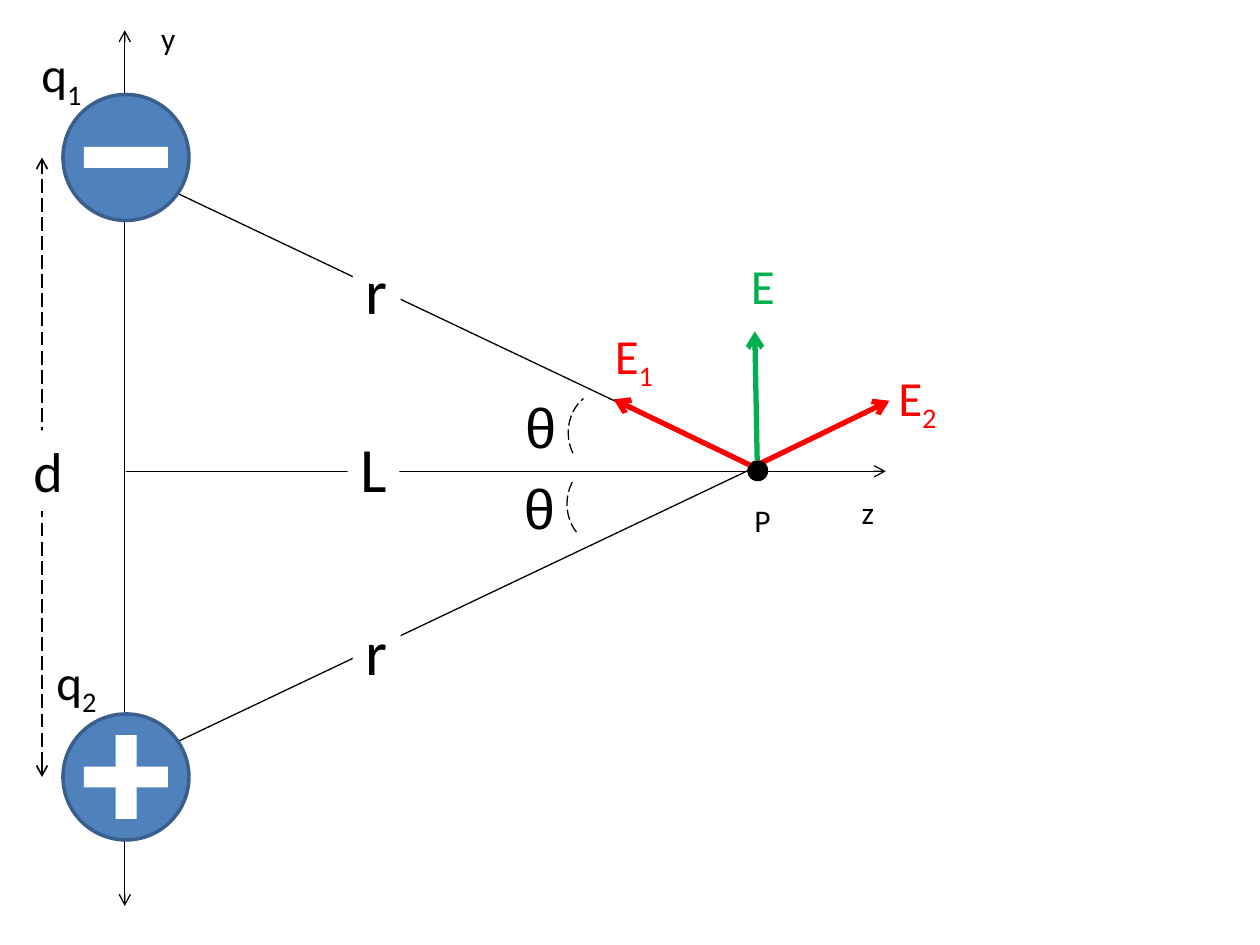
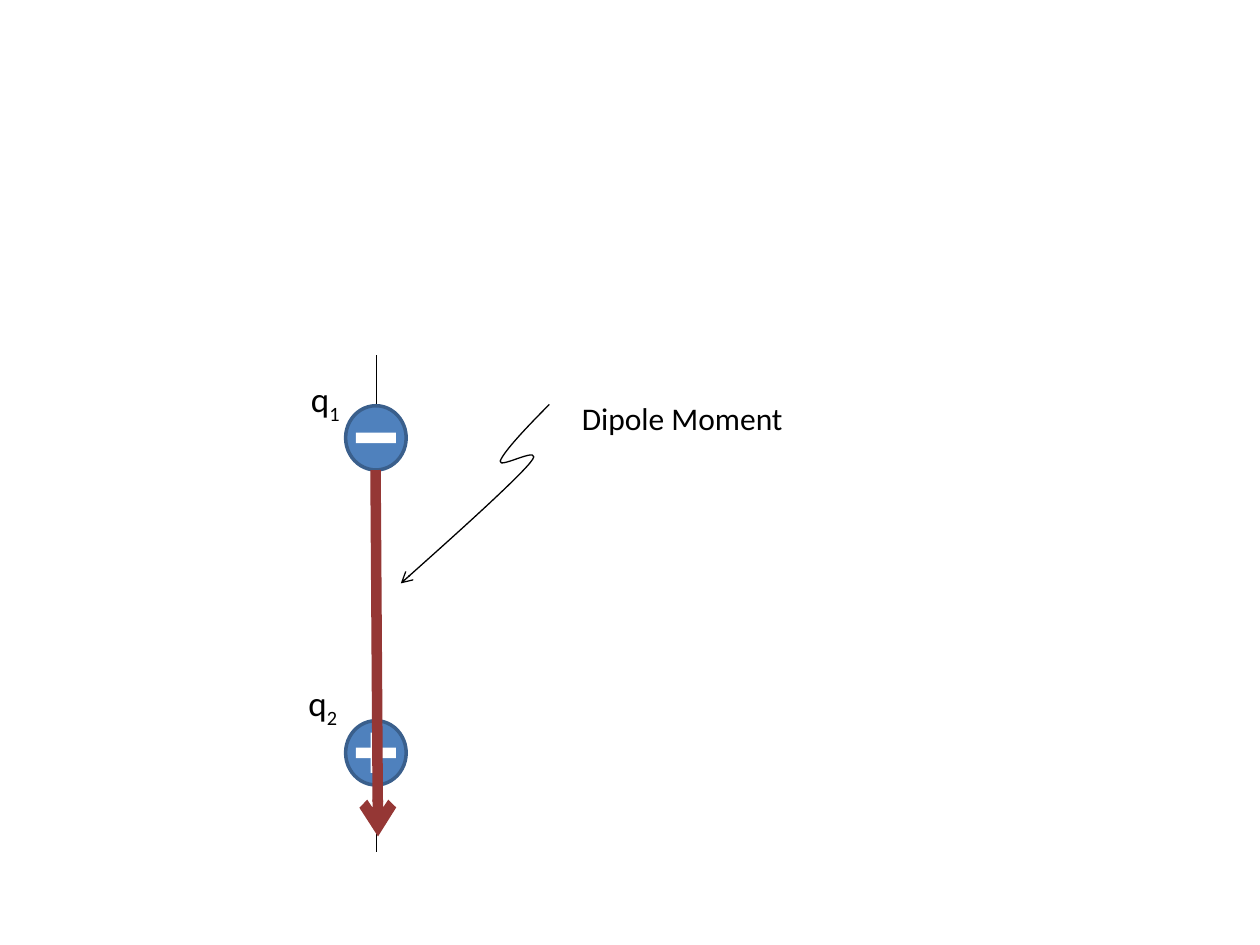
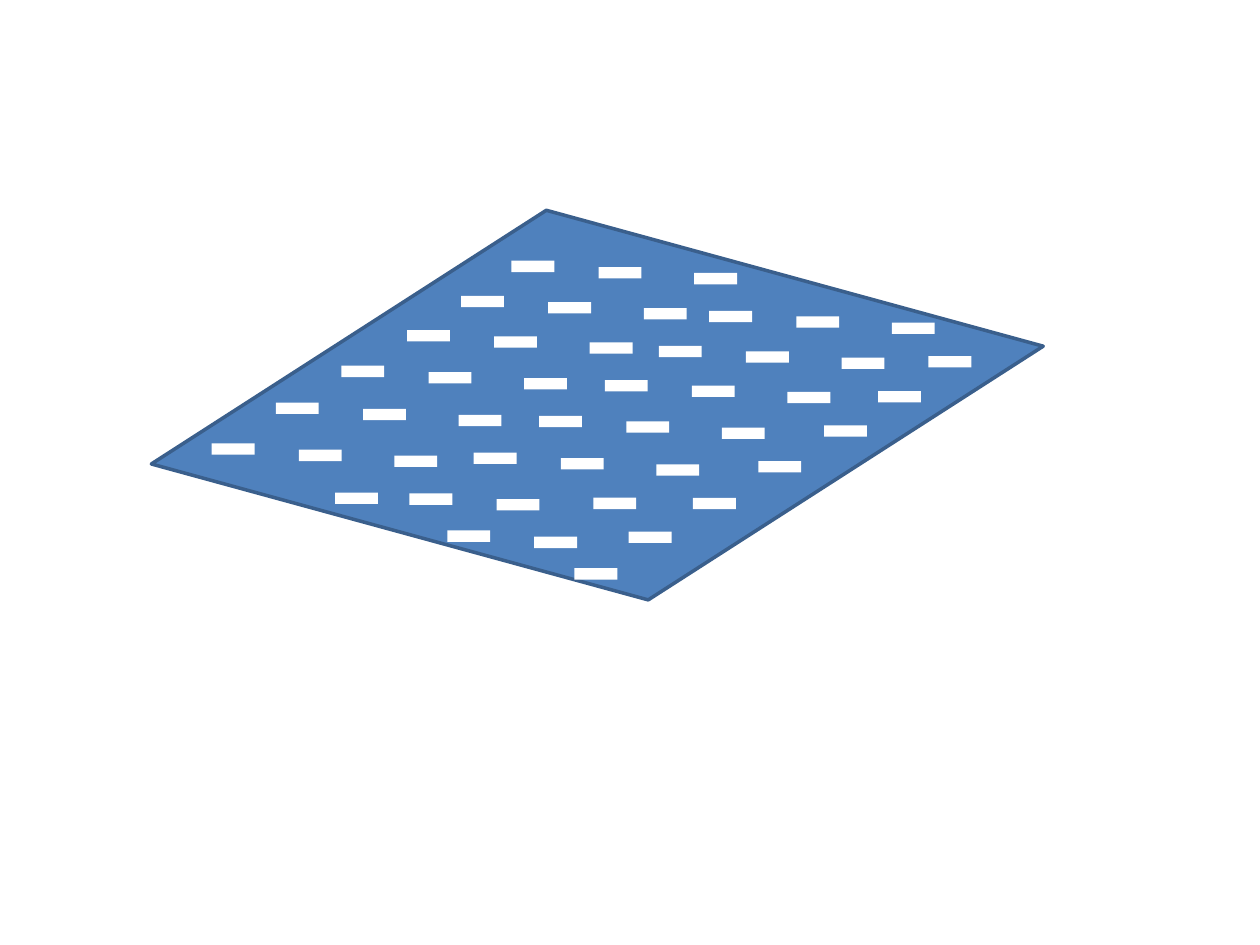
from lxml.etree import SubElement
from pptx import Presentation
from pptx.dml.color import RGBColor
from pptx.enum.dml import MSO_LINE
from pptx.enum.shapes import MSO_CONNECTOR, MSO_SHAPE
from pptx.enum.text import MSO_AUTO_SIZE, PP_ALIGN
from pptx.oxml.ns import qn
from pptx.util import Pt

BLACK = RGBColor(0x00, 0x00, 0x00)
WHITE = RGBColor(0xFF, 0xFF, 0xFF)
RED = RGBColor(0xFF, 0x00, 0x00)
GREEN = RGBColor(0x00, 0xB0, 0x50)
MAROON = RGBColor(0x95, 0x37, 0x35)
BLUE = RGBColor(0x4F, 0x81, 0xBD)
DARK_BLUE = RGBColor(0x3A, 0x5F, 0x8C)

SHEET_ROWS = [(292.3, 149), (263.5, 169), (232.6, 188.6),
              (195.1, 209), (157.7, 230), (121, 253.4)]
SHEET_COLUMNS = [(0, 0, 6), (49.8, 3.6, 6), (104.4, 7, 6),
                 (113, 28.6, 6), (162.8, 31.8, 6), (217.4, 35.3, 5),
                 (238.3, 54.5, 5)]
EDGE_CHARGES = [(339.1, 284.4), (191.5, 281.5), (255.6, 303.1),
                (305.3, 306.7), (359.3, 303.8), (328.3, 324.7)]


def style_line(line, color, width, ends=(), dashed=False):
    """Set colour, width, dash and arrowheads of a line."""
    line.color.rgb = color
    line.width = Pt(width)
    if dashed:
        line.dash_style = MSO_LINE.LONG_DASH
    for end in ends:
        SubElement(line._get_or_add_ln(), qn(f"a:{end}"), type="arrow")


def add_line(slide, start, stop, color=BLACK, width=0.75, ends=(), dashed=False):
    """Draw a straight line between two points."""
    line = slide.shapes.add_connector(
        MSO_CONNECTOR.STRAIGHT, *map(Pt, (*start, *stop)))
    style_line(line.line, color, width, ends, dashed)
    SubElement(line._element.spPr, qn("a:effectLst"))


def add_filled(slide, kind, box, fill, outline=None):
    """Draw a flat preset shape with an optional outline."""
    figure = slide.shapes.add_shape(kind, *map(Pt, box))
    figure.shadow.inherit = False
    figure.fill.solid()
    figure.fill.fore_color.rgb = fill
    if outline is None:
        figure.line.fill.background()
    else:
        style_line(figure.line, outline, 2)
    return figure


def add_charge(slide, center, size, bar, positive=False):
    """Draw a charged sphere with its plus or minus sign."""
    def centered(width, height):
        """Return a box of the given size around the charge."""
        return center[0] - width / 2, center[1] - height / 2, width, height

    add_filled(slide, MSO_SHAPE.OVAL, centered(*size), BLUE, DARK_BLUE)
    add_filled(slide, MSO_SHAPE.RECTANGLE, centered(*bar), WHITE)
    if positive:
        upright = add_filled(slide, MSO_SHAPE.RECTANGLE, centered(*bar), WHITE)
        upright.rotation = 90


def add_label(slide, text, box, size, subscript="", color=BLACK,
              font="Calibri", masked=False, wrap=False):
    """Add a label, optionally with a subscript or a white backing."""
    label = slide.shapes.add_textbox(*map(Pt, box))
    frame = label.text_frame
    frame.word_wrap = wrap
    frame.auto_size = MSO_AUTO_SIZE.SHAPE_TO_FIT_TEXT
    frame.text = text
    paragraph = frame.paragraphs[0]
    paragraph.alignment = PP_ALIGN.LEFT
    if subscript:
        index = paragraph.add_run()
        index.text = subscript
        index._r.get_or_add_rPr().set("baseline", "-25000")
    for run in paragraph.runs:
        run.font.name = font
        run.font.size = Pt(size)
        run.font.color.rgb = color
    if masked:
        label.fill.solid()
        label.fill.fore_color.rgb = WHITE


def add_angle(slide, box, angles):
    """Draw a dashed arc that opens to the right."""
    arc = slide.shapes.add_shape(MSO_SHAPE.ARC, *map(Pt, box))
    arc.shadow.inherit = False
    arc.fill.background()
    for position, angle in enumerate(angles):
        arc.adjustments[position] = angle
    frame = arc._element.spPr.get_or_add_xfrm()
    frame.set("flipH", "1")
    frame.set("flipV", "1")
    style_line(arc.line, BLACK, 0.75, dashed=True)


def add_curved_arrow(slide, points):
    """Draw a chain of cubic curves ending in an arrowhead."""
    start, *controls = [(Pt(x), Pt(y)) for x, y in points]
    builder = slide.shapes.build_freeform(*start)
    builder.add_line_segments(controls, close=False)
    curve = builder.convert_to_shape()
    curve.shadow.inherit = False
    curve.fill.background()
    style_line(curve.line, BLACK, 0.75, ["tailEnd"])
    outline = next(curve._element.iter(qn("a:path")))
    segments = outline.findall(qn("a:lnTo"))
    for first in range(0, len(segments), 3):
        bend = SubElement(outline, qn("a:cubicBezTo"))
        for segment in segments[first:first + 3]:
            bend.append(segment[0])
            outline.remove(segment)


def build_field_slide(slide):
    """Draw the field of two opposite charges at point P."""
    both = ["headEnd", "tailEnd"]
    add_line(slide, (431.3, 267.1), (73.4, 97.2))
    add_line(slide, (429.8, 267.8), (72, 437.8))
    add_line(slide, (72, 269.3), (506.2, 269.3), ends=["tailEnd"])
    add_line(slide, (71.3, 17.3), (71.3, 517.7), ends=both)
    add_charge(slide, (72, 444), (72, 72), (48, 12), positive=True)
    add_charge(slide, (72, 90), (72, 72), (48, 12))
    add_line(slide, (24, 444), (24, 90), width=1, ends=both, dashed=True)

    add_label(slide, "d", (12, 246, 24, 46), 32, masked=True, wrap=True)
    add_label(slide, "L", (198.7, 242, 29.5, 51), 36, masked=True)
    for top in (346.3, 140.4):
        add_label(slide, "r", (201.6, top, 27.4, 51), 36, masked=True)
    for left, top in ((292.3, 267.1), (293, 221)):
        add_label(slide, "θ", (left, top, 42, 46), 32, font="Arial", wrap=True)
    add_angle(slide, (324, 264, 42, 48), (188.46, 23.43))
    add_angle(slide, (324.7, 223.2, 42, 48), (196.27, 34.66))

    add_line(slide, (431.3, 266.4), (508.3, 229), RED, 3, ["tailEnd"])
    add_filled(slide, MSO_SHAPE.OVAL, (427, 263, 12, 12), BLACK)
    add_line(slide, (428.4, 265.7), (350.6, 228.2), RED, 3, ["tailEnd"])
    add_line(slide, (432.7, 262.8), (431.3, 189.4), GREEN, 3, ["tailEnd"])

    add_label(slide, "q", (16.6, 21.6, 39, 41), 28, "1")
    add_label(slide, "q", (25.2, 368.6, 39, 41), 28, "2")
    add_label(slide, "E", (506.2, 206.6, 38, 41), 28, "2", RED)
    add_label(slide, "E", (344.2, 182.2, 38, 41), 28, "1", RED)
    add_label(slide, "E", (422, 142.6, 28, 41), 28, color=GREEN)
    add_label(slide, "y", (85, 7.2, 23, 29), 18)
    add_label(slide, "z", (485.3, 278, 21.6, 29), 18)
    add_label(slide, "P", (424, 283, 23.8, 29), 18)


def build_moment_slide(slide):
    """Draw the dipole moment of the two charges."""
    add_line(slide, (215.3, 203), (215.3, 486.7))
    add_charge(slide, (214.8, 430.2), (34.6, 36.7), (23, 6), positive=True)
    add_charge(slide, (214.8, 250.2), (34.6, 36.7), (23, 6))
    add_line(slide, (214.6, 268.6), (216, 478), MAROON, 6, ["tailEnd"])
    add_curved_arrow(slide, [
        (313.9, 231.1), (301, 244.1), (288, 257.8), (285.8, 263.5),
        (284.4, 268.6), (312.5, 252.7), (303.1, 264.2),
        (293.8, 275.8), (229, 333.4), (229, 333.4)])
    add_label(slide, "Dipole Moment", (325.4, 224.6, 131, 29), 18)
    add_label(slide, "q", (170.6, 212.4, 31.7, 31.5), 20, "1")
    add_label(slide, "q", (169.2, 386, 31.7, 31.5), 20, "2")


def build_sheet_slide(slide):
    """Draw a sheet covered with negative charges."""
    sheet = add_filled(slide, MSO_SHAPE.PARALLELOGRAM,
                       (104.4, 131.8, 473.8, 199.4), BLUE, DARK_BLUE)
    sheet.adjustments[0] = 0.9
    sheet.rotation = 15.3
    grid = [(left + shift, top + drop)
            for shift, drop, count in SHEET_COLUMNS
            for left, top in SHEET_ROWS[:count]]
    for left, top in grid + EDGE_CHARGES:
        add_filled(slide, MSO_SHAPE.RECTANGLE, (left, top, 24.5, 6.5), WHITE)


def main():
    """Build and save the presentation."""
    deck = Presentation()
    deck.slide_width, deck.slide_height = Pt(720), Pt(540)
    for build in (build_field_slide, build_moment_slide, build_sheet_slide):
        build(deck.slides.add_slide(deck.slide_layouts[6]))
    deck.save("out.pptx")


main()
